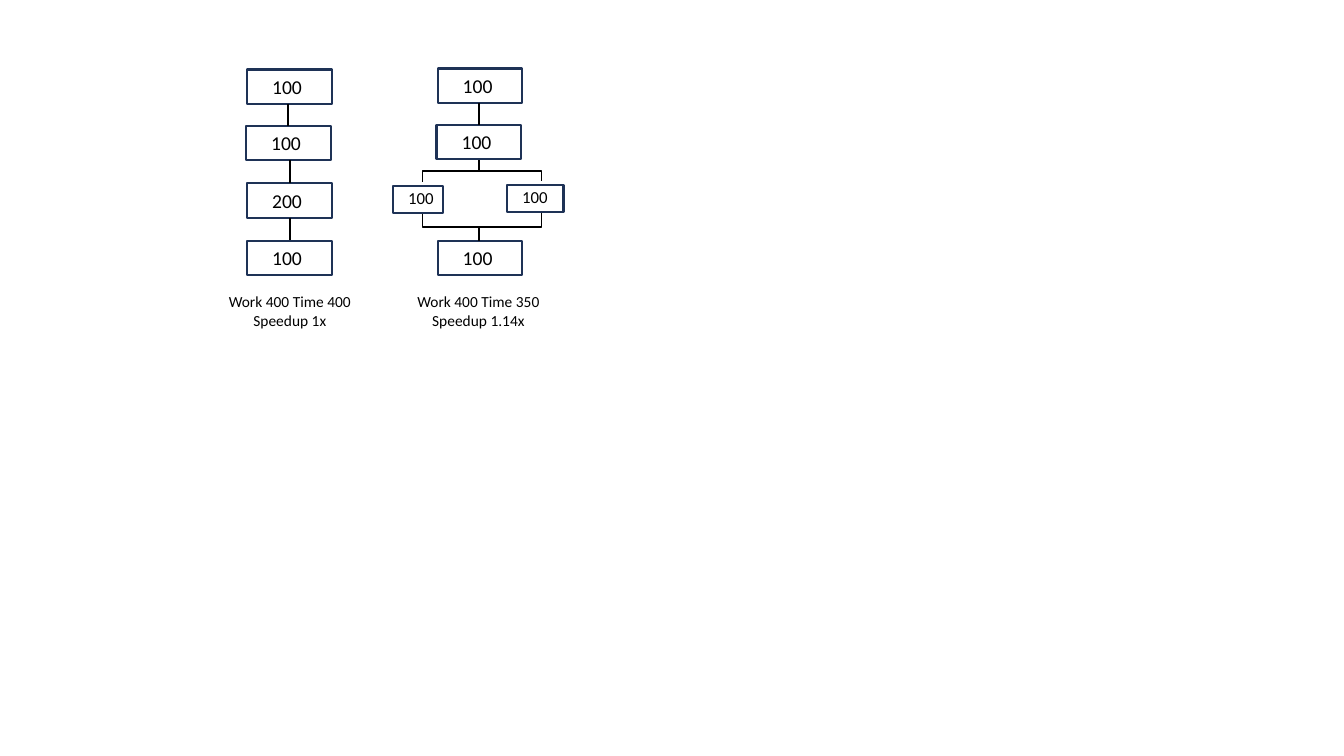
import pptx
import pptx.dml.color
import pptx.enum.shapes
import pptx.enum.text
import pptx.oxml.ns
import pptx.util
from lxml import etree

PX = 9144
NAVY = pptx.dml.color.RGBColor(0x1E, 0x32, 0x56)
BLACK = pptx.dml.color.RGBColor(0, 0, 0)
LEFT = pptx.enum.text.PP_ALIGN.LEFT
CENTER = pptx.enum.text.PP_ALIGN.CENTER
STRAIGHT = pptx.enum.shapes.MSO_CONNECTOR.STRAIGHT
ELBOW = pptx.enum.shapes.MSO_CONNECTOR.ELBOW


def px(*lengths):
    return [round(length * PX) for length in lengths]


def add_text(shapes, text, left, top, width, height, size=14, align=LEFT):
    label = shapes.add_textbox(*px(left, top, width, height))
    frame = label.text_frame
    frame.word_wrap = True
    frame.auto_size = pptx.enum.text.MSO_AUTO_SIZE.SHAPE_TO_FIT_TEXT
    paragraph = frame.paragraphs[0]
    paragraph.alignment = align
    run = paragraph.add_run()
    run.text = text
    run.font.name = "Calibri"
    run.font.size = pptx.util.Pt(size)
    run.font.color.rgb = BLACK


def add_task(slide, cost, left, top, width=84, height=34):
    task = slide.shapes.add_group_shape().shapes
    outline = task.add_shape(
        pptx.enum.shapes.MSO_SHAPE.RECTANGLE, *px(left, top, width, height))
    outline.shadow.inherit = False
    outline.fill.background()
    outline.line.color.rgb = NAVY
    outline.line.width = pptx.util.Pt(1.5)
    if height == 34:
        add_text(task, cost, left + 15, top, 52, 35)
    else:
        add_text(task, cost, left + 5, top - 4, width, 31, size=12)


def add_link(slide, kind, x1, y1, x2, y2):
    link = slide.shapes.add_connector(kind, *px(x1, y1, x2, y2))
    link.line.color.rgb = BLACK
    link.line.width = pptx.util.Pt(1.25)
    properties = link._element.spPr
    etree.SubElement(properties, pptx.oxml.ns.qn("a:effectLst"))
    return properties


def add_vertical_elbow(slide, x1, y1, x2, y2):
    middle_x, middle_y = (x1 + x2) / 2, (y1 + y2) / 2
    half_run, half_drop = abs(x2 - x1) / 2, (y2 - y1) / 2
    to_right = x2 > x1
    start = half_drop if to_right else -half_drop
    properties = add_link(slide, ELBOW, middle_x + start, middle_y - half_run,
                          middle_x - start, middle_y + half_run)
    turn = 270 if to_right else 90
    properties.xfrm.set("rot", str(turn * 60000))


def main():
    deck = pptx.Presentation()
    deck.slide_width, deck.slide_height = px(1333, 750)
    slide = deck.slides.add_slide(deck.slide_layouts[6])

    for cost, left, top in (("100", 244, 125), ("100", 245, 69),
                            ("200", 245, 182), ("100", 245, 239)):
        add_task(slide, cost, left, top)
    for x, top, bottom in ((286, 103, 125), (288, 159, 182), (288, 216, 238)):
        add_link(slide, STRAIGHT, x, top, x, bottom)

    for left, top in ((433, 124), (434, 68), (434, 239)):
        add_task(slide, "100", left, top)
    for left, top, width in ((390, 185, 49), (503, 184, 56)):
        add_task(slide, "100", left, top, width, 26)
    add_link(slide, STRAIGHT, 475, 102, 475, 124)
    for branch_x, branch_top, branch_bottom in ((419, 181, 212), (537, 180, 211)):
        add_vertical_elbow(slide, 475, 159, branch_x, branch_top)
        add_vertical_elbow(slide, branch_x, branch_bottom, 475, 239)

    for summary, left in (("Work 400 Time 400 Speedup 1x", 212),
                          ("Work 400 Time 350 Speedup 1.14x", 399)):
        add_text(slide.shapes, summary, left, 285, 151, 47, size=11, align=CENTER)

    deck.save("out.pptx")


if __name__ == "__main__":
    main()
